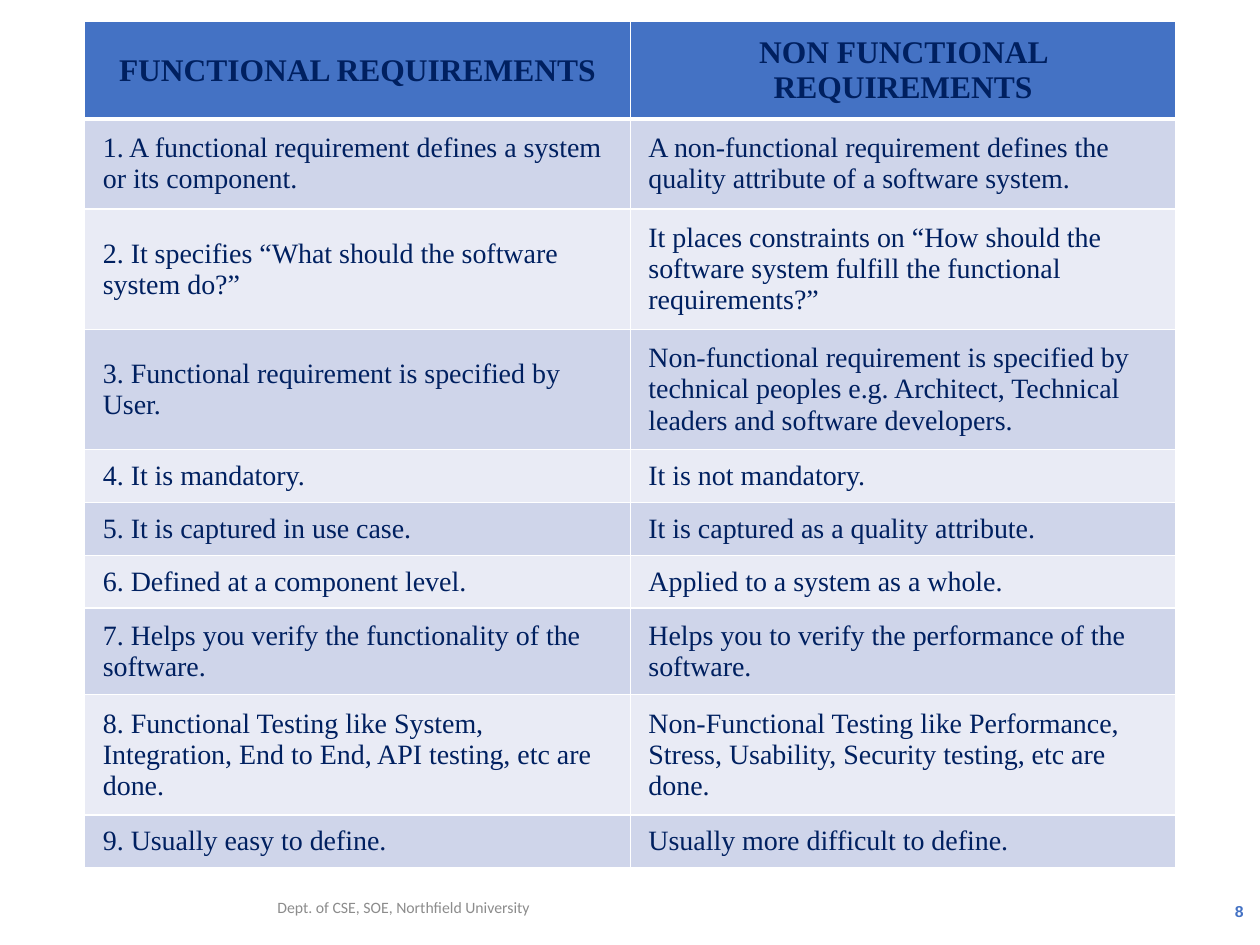
import pptx
import pptx.util
import pptx.dml.color
import pptx.enum.text
import pptx.oxml
import pptx.oxml.ns

Pt = pptx.util.Pt
Align = pptx.enum.text.PP_ALIGN
Mid = pptx.enum.text.MSO_ANCHOR.MIDDLE


def shade(text):
    return pptx.dml.color.RGBColor.from_string(text)


def write(para, text, size, face, tint, bold, align):
    para.alignment = align
    run = para.add_run()
    run.text = text
    run.font.size = Pt(size)
    run.font.name = face
    run.font.bold = bold
    run.font.color.rgb = shade(tint)


rows = [
    (55.6, "FUNCTIONAL REQUIREMENTS", "NON FUNCTIONAL REQUIREMENTS"),
    (51.4, "1. A functional requirement defines a system or its component.",
     "A non-functional requirement defines the quality attribute of a software system."),
    (68.8, "2. It specifies “What should the software system do?”",
     "It places constraints on “How should the software system fulfill the functional requirements?”"),
    (68.8, "3. Functional requirement is specified by User.",
     "Non-functional requirement is specified by technical peoples e.g. Architect, "
     "Technical leaders and software developers."),
    (30.2, "4. It is mandatory.", "It is not mandatory."),
    (30.2, "5. It is captured in use case.", "It is captured as a quality attribute."),
    (30.2, "6. Defined at a component level.", "Applied to a system as a whole."),
    (49.4, "7. Helps you verify the functionality of the software.",
     "Helps you to verify the performance of the software."),
    (68.8, "8. Functional Testing like System, Integration, End to End, API testing, etc are done.",
     "Non-Functional Testing like Performance, Stress, Usability, Security testing, etc are done."),
    (30, "9. Usually easy to define.", "Usually more difficult to define."),
]

deck = pptx.Presentation()
deck.slide_width = Pt(720)
deck.slide_height = Pt(540)
slide = deck.slides.add_slide(deck.slide_layouts[6])

high = sum(row[0] for row in rows)
frame = slide.shapes.add_table(len(rows), 2, Pt(48.4), Pt(12.4), Pt(623.6), Pt(high))
table = frame.table
for col in table.columns:
    col.width = Pt(311.8)

for r, (tall, *texts) in enumerate(rows):
    table.rows[r].height = Pt(tall)
    head = r == 0
    for c, text in enumerate(texts):
        cell = table.cell(r, c)
        cell.vertical_anchor = Mid
        cell.margin_left = cell.margin_right = Pt(5.8 if head else 10.4)
        cell.margin_top = cell.margin_bottom = Pt(5.8 if head else 5.2)
        props = cell._tc.get_or_add_tcPr()
        for side in ("L", "R", "T", "B"):
            wide = Pt(3 if head and side == "B" else 1)
            props.append(pptx.oxml.parse_xml(
                f'<a:ln{side} {pptx.oxml.ns.nsdecls("a")} w="{wide}">'
                f'<a:solidFill><a:srgbClr val="FFFFFF"/></a:solidFill></a:ln{side}>'))
        cell.fill.solid()
        cell.fill.fore_color.rgb = shade("4472C4" if head else ("E9EBF5", "CFD5EA")[r % 2])
        write(cell.text_frame.paragraphs[0], text, 18 if head else 16, "Times New Roman",
              "002060", head, Align.CENTER if head else Align.LEFT)

notes = [
    (48.4, 504, 364.3, "Dept. of CSE, SOE, Northfield University", "Calibri", "8C8C8C", False, Align.CENTER),
    (555.8, 506.2, 162, "8", "Arial", "4472C4", True, Align.RIGHT),
]
for left, top, wide, text, face, tint, bold, align in notes:
    body = slide.shapes.add_textbox(Pt(left), Pt(top), Pt(wide), Pt(28.8)).text_frame
    body.word_wrap = True
    body.vertical_anchor = Mid
    write(body.paragraphs[0], text, 9, face, tint, bold, align)

deck.save("out.pptx")
